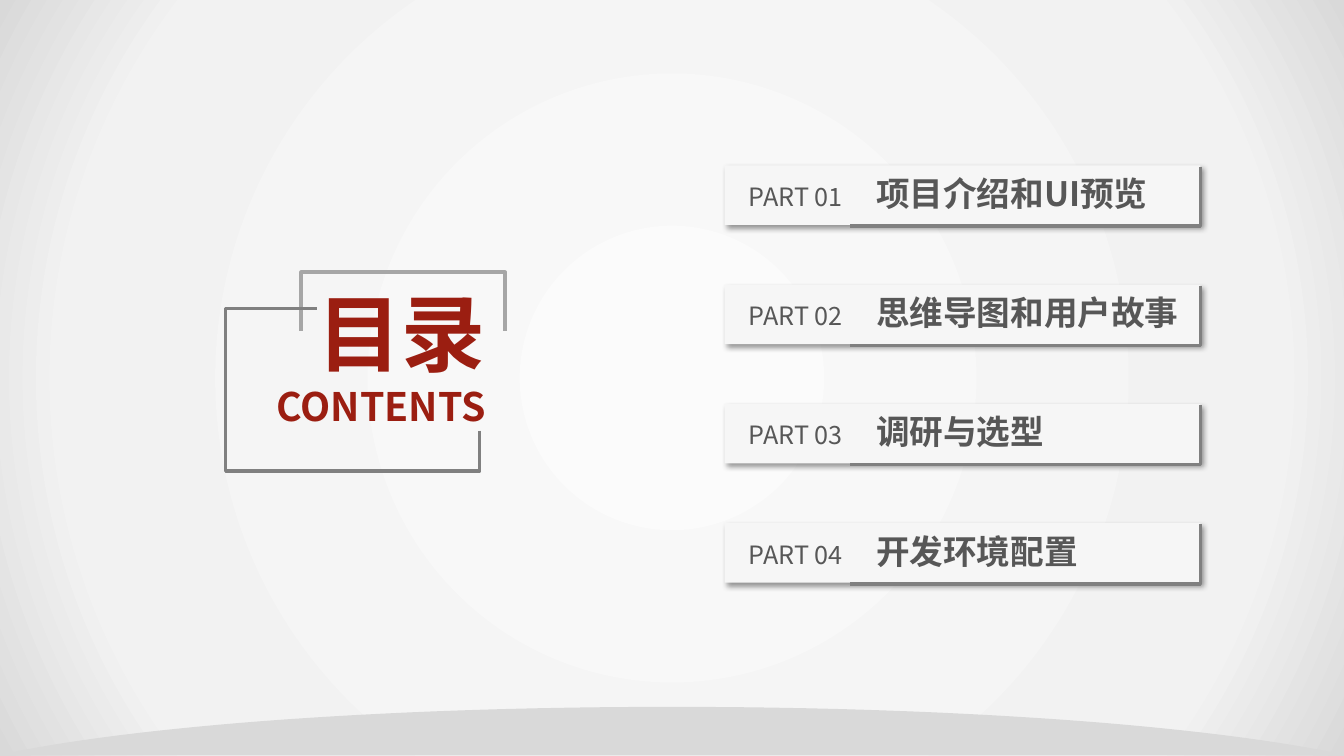
from dataclasses import dataclass

from lxml.etree import SubElement
from pptx import Presentation
from pptx.dml.color import RGBColor
from pptx.enum.shapes import MSO_SHAPE
from pptx.enum.text import MSO_AUTO_SIZE, PP_ALIGN
from pptx.oxml import parse_xml
from pptx.oxml.ns import nsdecls, qn
from pptx.util import Cm, Pt


@dataclass(frozen=True)
class Theme:
    font: str = "Noto Sans CJK SC"
    accent: str = "9B1E11"
    text: str = "575757"
    card: str = "F6F6F6"
    hill: str = "D9D9D9"
    light_frame: str = "A6A6A6"
    dark_frame: str = "808080"
    backdrop: tuple = ((0, "FBFBFB"), (79, "F2F2F2"), (100, "D9D9D9"))
    heading_size: int = 60
    subheading_size: int = 28
    part_size: int = 18
    topic_size: int = 24
    frame_width: float = 2.5
    hill_width: float = 1


WIDTH, HEIGHT = 33.87, 19.05
TOPICS = ["项目介绍和UI预览", "思维导图和用户故事", "调研与选型", "开发环境配置"]
CARD_LEFT, CARD_TOP, CARD_WIDTH, CARD_HEIGHT = 18.26, 4.17, 11.99, 1.5
CARD_PITCH = 3.005


class ContentsSlide:
    def __init__(self, slide, theme):
        self.slide = slide
        self.theme = theme

    def rectangle(self, left, top, width, height):
        shape = self.slide.shapes.add_shape(
            MSO_SHAPE.RECTANGLE, Cm(left), Cm(top), Cm(width), Cm(height)
        )
        shape.shadow.inherit = False
        shape.line.fill.background()
        return shape

    def backdrop(self):
        shape = self.rectangle(0, 0, WIDTH, HEIGHT)
        stops = "".join(
            f'<a:gs pos="{position * 1000}"><a:srgbClr val="{color}"/></a:gs>'
            for position, color in self.theme.backdrop
        )
        gradient = parse_xml(
            f'<a:gradFill {nsdecls("a")} rotWithShape="1"><a:gsLst>{stops}</a:gsLst>'
            '<a:path path="circle"><a:fillToRect l="50000" t="50000" r="50000" b="50000"/>'
            "</a:path></a:gradFill>"
        )
        shape._element.spPr.find(qn("a:prstGeom")).addnext(gradient)

    def card(self, left, top, width, height):
        shape = self.rectangle(left, top, width, height)
        shape.fill.solid()
        shape.fill.fore_color.rgb = RGBColor.from_string(self.theme.card)
        effects = shape._element.spPr.find(qn("a:effectLst"))
        effects.append(parse_xml(
            f'<a:outerShdw {nsdecls("a")} blurRad="{Pt(4)}" dist="{Pt(3)}" dir="2700000" '
            'algn="tl" rotWithShape="0"><a:srgbClr val="000000"><a:alpha val="40000"/>'
            "</a:srgbClr></a:outerShdw>"
        ))

    def outline(self, points, color, width, filled=False):
        corners = [(Cm(x), Cm(y)) for x, y in points]
        builder = self.slide.shapes.build_freeform(*corners[0])
        builder.add_line_segments(corners[1:], close=filled)
        shape = builder.convert_to_shape()
        shape.shadow.inherit = False
        shape.line.color.rgb = RGBColor.from_string(color)
        shape.line.width = Pt(width)
        if filled:
            shape.fill.solid()
            shape.fill.fore_color.rgb = RGBColor.from_string(color)
        else:
            shape.fill.background()

    def hill(self):
        center = WIDTH / 2
        controls = [(0, 17.83), (7.11, 17.83), (13.33, 18.29), (16.76, 19)]
        slope = []
        for step in range(31):
            t = step / 30
            weights = ((1 - t) ** 3, 3 * t * (1 - t) ** 2, 3 * t**2 * (1 - t), t**3)
            slope.append(tuple(
                sum(weight * control[axis] for weight, control in zip(weights, controls))
                for axis in (0, 1)
            ))
        slope.append((center, 19.02))
        left = [(center - x, y) for x, y in reversed(slope)]
        right = [(center + x, y) for x, y in slope[1:]]
        self.outline(left + right, self.theme.hill, self.theme.hill_width, filled=True)

    def text_box(self, left, top, width, height):
        box = self.slide.shapes.add_textbox(Cm(left), Cm(top), Cm(width), Cm(height))
        frame = box.text_frame
        frame.word_wrap = True
        frame.auto_size = MSO_AUTO_SIZE.SHAPE_TO_FIT_TEXT
        return frame

    def style_run(self, run, size, color, bold):
        run.font.size = Pt(size)
        run.font.bold = bold
        run.font.name = self.theme.font
        run.font.color.rgb = RGBColor.from_string(color)
        SubElement(run.font._element, qn("a:ea"), typeface=self.theme.font)

    def heading(self):
        frame = self.text_box(3.63, 6.96, 8.86, 4.01)
        frame.text = "目录\nCONTENTS"
        sizes = (self.theme.heading_size, self.theme.subheading_size)
        for paragraph, size in zip(frame.paragraphs, sizes):
            paragraph.alignment = PP_ALIGN.RIGHT
            self.style_run(paragraph.runs[0], size, self.theme.accent, True)

    def topic(self, number, title):
        top = CARD_TOP + (number - 1) * CARD_PITCH
        right = CARD_LEFT + CARD_WIDTH
        self.card(CARD_LEFT, top, CARD_WIDTH, CARD_HEIGHT)
        paragraph = self.text_box(18.62, top + 0.06, 11.63, 1.27).paragraphs[0]
        paragraph.text = f"PART {number:02}\t"
        self.style_run(paragraph.runs[0], self.theme.part_size, self.theme.text, False)
        title_run = paragraph.add_run()
        title_run.text = title
        self.style_run(title_run, self.theme.topic_size, self.theme.text, True)
        tabs = SubElement(paragraph._p.get_or_add_pPr(), qn("a:tabLst"))
        SubElement(tabs, qn("a:tab"), pos=str(Cm(3.21)), algn="l")
        edge_top = top + 0.03
        edge_bottom = edge_top + CARD_HEIGHT
        self.outline(
            [(right, edge_top), (right, edge_bottom), (21.41, edge_bottom)],
            self.theme.dark_frame, self.theme.frame_width,
        )


def main():
    presentation = Presentation()
    presentation.slide_width = Cm(WIDTH)
    presentation.slide_height = Cm(HEIGHT)
    slide = presentation.slides.add_slide(presentation.slide_layouts[6])
    theme = Theme()
    contents = ContentsSlide(slide, theme)
    contents.backdrop()
    contents.hill()
    contents.heading()
    contents.outline(
        [(7.59, 8.33), (7.59, 6.86), (12.73, 6.86), (12.73, 8.33)],
        theme.light_frame, theme.frame_width,
    )
    contents.outline(
        [(12.09, 10.85), (12.09, 11.87), (5.69, 11.87), (5.69, 7.77), (7.98, 7.77)],
        theme.dark_frame, theme.frame_width,
    )
    for number, title in enumerate(TOPICS, start=1):
        contents.topic(number, title)
    presentation.save("out.pptx")


if __name__ == "__main__":
    main()
